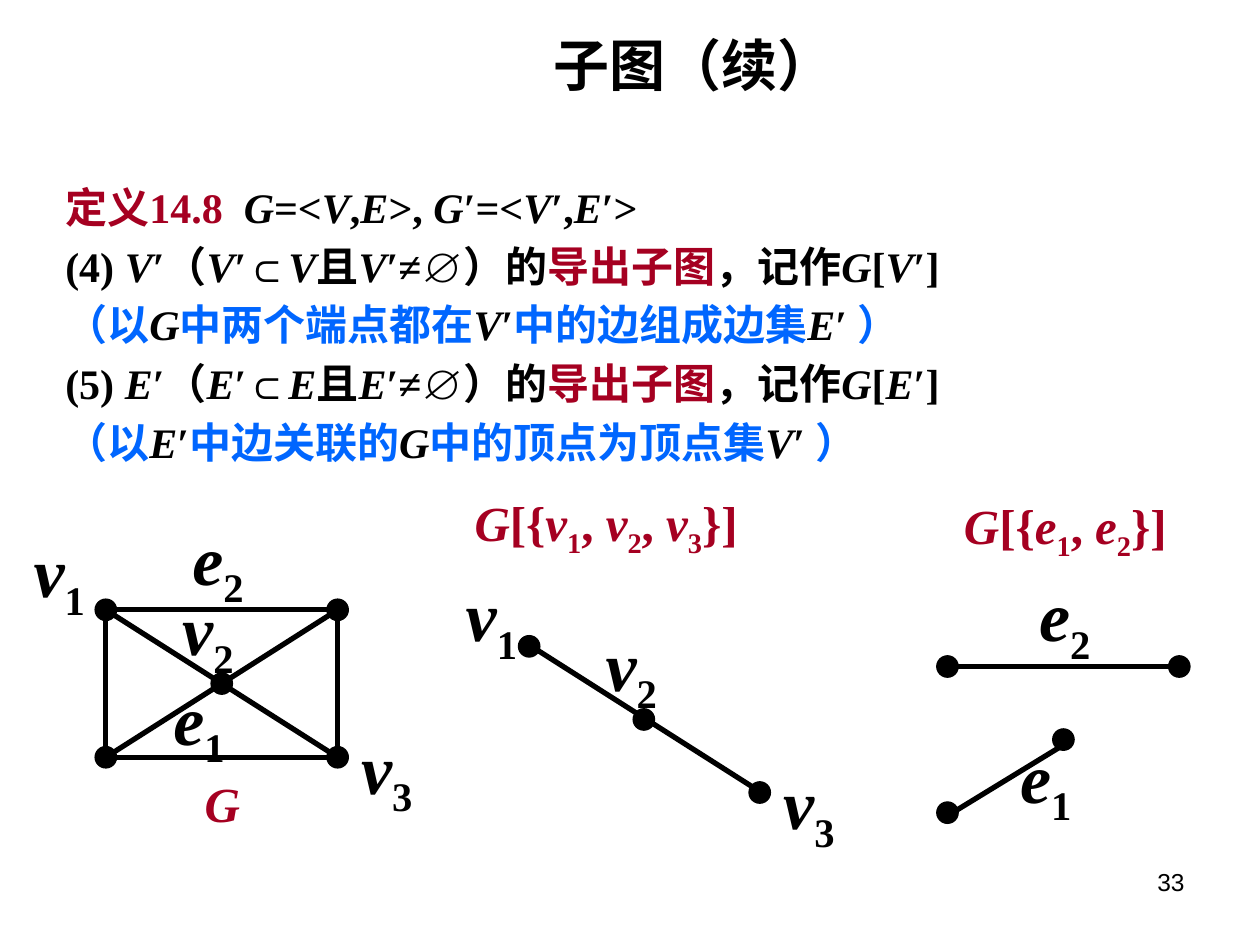
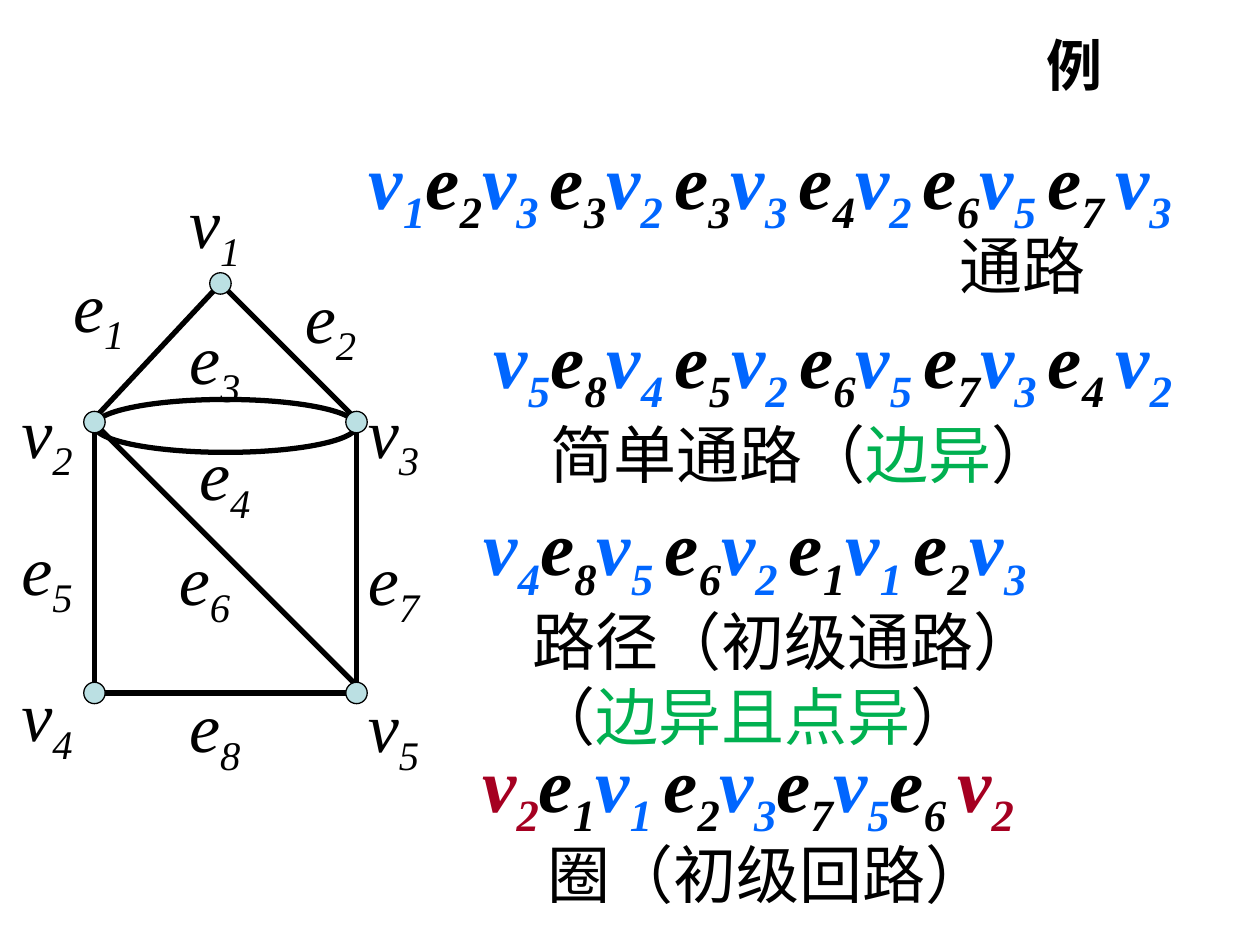
from dataclasses import dataclass
from itertools import groupby

from lxml import etree
from pptx import Presentation
from pptx.dml.color import RGBColor
from pptx.enum.shapes import MSO_CONNECTOR as CONN, MSO_SHAPE as SHAPE
from pptx.enum.text import MSO_ANCHOR as ANCHOR, PP_ALIGN as ALIGN
from pptx.oxml.ns import qn
from pptx.util import Inches, Pt


@dataclass(frozen=True)
class Theme:
    black: str = "000000"
    red: str = "A50021"
    blue: str = "0066FF"
    green: str = "00B050"
    pale: str = "BBE0E3"
    serif: str = "Times New Roman"
    sans: str = "Arial"
    number: int = 14
    body: int = 24
    caption: int = 28
    title: int = 32
    note: int = 36
    label: int = 40
    walk: int = 44
    edge: float = 3
    outline: float = 0.75
    dot: float = 0.17

    def ink(self, key):
        return {"k": self.black, "r": self.red, "b": self.blue, "g": self.green}[key]


def char_styles(text):
    styles = []
    for i, ch in enumerate(text):
        before = text[i - 1] if i else ""
        sub = (ch.isdigit() and before in ("v", "e")) or (
            ch == " " and i > 0 and styles[-1][1])
        styles.append((ch.isascii() and ch.isalpha(), sub))
    return styles


class Deck:
    def __init__(self, theme):
        self.theme = theme
        self.prs = Presentation()
        self.prs.slide_width, self.prs.slide_height = Inches(10), Inches(7.5)
        self.slide = None

    def new_slide(self, title, align, font):
        self.slide = self.prs.slides.add_slide(self.prs.slide_layouts[6])
        sp = self.text((2.16, 0.28, 6.69, 0.46), ["k" + title], self.theme.title,
                       align=align, font=font)
        sp.text_frame.vertical_anchor = ANCHOR.MIDDLE

    def text(self, box, lines, size, bold=True, align=ALIGN.LEFT, font=None,
             slanted_subs=False, gap=0, hanging=0, inset=None):
        sp = self.slide.shapes.add_textbox(*map(Inches, box))
        tf = sp.text_frame
        tf.word_wrap = True
        if inset is not None:
            tf.margin_left = tf.margin_right = Inches(inset)
            tf.margin_top = tf.margin_bottom = Inches(inset)
        for i, line in enumerate(lines):
            p = tf.add_paragraph() if i else tf.paragraphs[0]
            p.alignment = align
            if i and gap:
                p.space_before = Pt(gap)
            if hanging:
                pPr = p._p.get_or_add_pPr()
                pPr.set("marL", str(Inches(hanging)))
                pPr.set("indent", str(-Inches(hanging)))
            for part in line.split("|"):
                self.runs(p, part[1:], part[0], size, bold, font, slanted_subs)
        return sp

    def runs(self, p, text, key, size, bold, font, slanted_subs):
        pairs = zip(char_styles(text), text)
        for (italic, sub), group in groupby(pairs, key=lambda pair: pair[0]):
            r = p.add_run()
            r.text = "".join(ch for _, ch in group)
            r.font.name = font or self.theme.serif
            r.font.size = Pt(size)
            r.font.bold = bold
            r.font.italic = italic or (sub and slanted_subs)
            r.font.color.rgb = RGBColor.from_string(self.theme.ink(key))
            if sub:
                r._r.get_or_add_rPr().set("baseline", "-25000")

    def edges(self, segments):
        for x1, y1, x2, y2 in segments:
            line = self.slide.shapes.add_connector(
                CONN.STRAIGHT, *map(Inches, (x1, y1, x2, y2)))
            line.line.width = Pt(self.theme.edge)
            line.line.color.rgb = RGBColor.from_string(self.theme.black)
            etree.SubElement(line._element.spPr, qn("a:effectLst"))

    def ellipse(self, box, fill, width):
        sp = self.slide.shapes.add_shape(SHAPE.OVAL, *map(Inches, box))
        sp.shadow.inherit = False
        if fill:
            sp.fill.solid()
            sp.fill.fore_color.rgb = RGBColor.from_string(fill)
        else:
            sp.fill.background()
        sp.line.width = Pt(width)
        sp.line.color.rgb = RGBColor.from_string(self.theme.black)

    def nodes(self, centres, fill):
        d = self.theme.dot
        for x, y in centres:
            self.ellipse((x - d / 2, y - d / 2, d, d), fill, self.theme.outline)

    def bold_labels(self, places):
        for name, x, y in places:
            self.text((x, y, 0.94, 0.77), ["k" + name], self.theme.label,
                      align=ALIGN.CENTER)

    def slanted_labels(self, places):
        for name, x, y in places:
            self.text((x, y, 0.58, 0.67), ["k" + name], self.theme.label,
                      bold=False, slanted_subs=True, inset=0)

    def caption(self, box, name):
        self.text(box, ["r" + name], self.theme.caption, align=ALIGN.CENTER)

    def walk(self, box, sequence, ends=None):
        line = sequence.replace("v", "|bv").replace("e", "|ke")[1:]
        if ends:
            line = line.replace("b" + ends, "r" + ends)
        self.text(box, [line], self.theme.walk, slanted_subs=True)

    def note(self, box, *lines):
        self.text(box, lines, self.theme.note, bold=False)


def subgraph_slide(deck):
    theme = deck.theme
    deck.new_slide("子图（续）", ALIGN.CENTER, theme.serif)
    deck.text((7.17, 6.83, 2.33, 0.52), ["k33"], theme.number, bold=False,
              align=ALIGN.RIGHT, font=theme.sans)
    deck.text((0.42, 1.39, 9, 2.45), [
        "r定义14.8  |kG=<V,E>, G′=<V′,E′>",
        "k(4) V′（V′⊂V且V′≠∅）的|r导出子图|k，记作G[V′]",
        "b（以|kG|b中两个端点都在|kV′|b中的边组成边集|kE′ |b）",
        "k(5) E′（E′⊂E且E′≠∅）的|r导出子图|k，记作G[E′]",
        "b（以|kE′|b中边关联的|kG|b中的顶点为顶点集|kV′ |b）",
    ], theme.body, gap=4.8, hanging=0.38)

    left, right, top, bottom = 0.84, 2.68, 4.84, 6.01
    corners = [(left, top), (right, top), (right, bottom), (left, bottom)]
    sides = zip(corners, corners[1:] + corners[:1])
    diagonals = zip(corners[:2], corners[2:])
    deck.edges([a + b for a, b in [*sides, *diagonals]])
    deck.nodes(corners + [((left + right) / 2, (top + bottom) / 2)], theme.black)
    deck.bold_labels([("v1", 0, 4.14), ("v2", 1.18, 4.6), ("v3", 2.6, 5.7),
                      ("e1", 1.11, 5.31), ("e2", 1.26, 4.04)])
    deck.caption((1.08, 6.09, 1.37, 0.57), "G")

    deck.edges([(4.14, 5.08, 5.98, 6.25)])
    deck.nodes([(4.2, 5.13), (5.11, 5.71), (6.03, 6.29)], theme.black)
    deck.bold_labels([("v1", 3.43, 4.49), ("v2", 4.54, 4.88), ("v3", 5.95, 5.98)])
    deck.caption((3.12, 3.86, 3.38, 0.57), "G[{v1, v2, v3}]")

    deck.edges([(7.56, 5.29, 9.4, 5.29), (8.46, 5.9, 7.56, 6.45)])
    deck.nodes([(7.52, 5.29), (9.36, 5.29), (8.44, 5.87), (7.52, 6.45)], theme.black)
    deck.bold_labels([("e1", 7.83, 5.77), ("e2", 7.98, 4.49)])
    deck.caption((6.34, 3.88, 4.23, 0.57), "G[{e1, e2}]")


def walk_slide(deck):
    theme = deck.theme
    deck.new_slide("例", ALIGN.RIGHT, theme.sans)
    deck.walk((2.83, 1, 7.17, 0.83), "v1e2v3 e3v2 e3v3 e4v2 e6v5 e7 v3")
    deck.note((7.52, 1.75, 1.87, 0.7), "k通路")
    deck.walk((3.82, 2.42, 6.08, 0.83), "v5e8v4 e5v2 e6v5 e7v3 e4 v2")
    deck.note((4.27, 3.25, 4.65, 0.71), "k简单通路（|g边异|k）")
    deck.walk((3.74, 3.91, 5, 0.83), "v4e8v5 e6v2 e1v1 e2v3")
    deck.note((4.13, 4.73, 5.78, 1.31), "k路径（初级通路）", "k（|g边异且点异|k）")
    deck.walk((3.73, 5.79, 5, 0.84), "v2e1v1 e2v3e7v5e6 v2", ends="v2")
    deck.note((4.25, 6.58, 4.67, 0.7), "k圈（初级回路）")

    left, right, apex = 0.75, 2.83, 1.75
    roof, eaves, floor = 2.25, 3.35, 5.5
    deck.ellipse((left, 3.17, right - left, 0.42), None, theme.edge)
    deck.edges([
        (right, 3.42, right, floor), (left, 3.33, left, floor),
        (left, floor, right, floor), (apex, roof, left, 3.32),
        (apex, roof, right, 3.33), (left, 3.36, right, 5.44),
    ])
    deck.nodes([(apex, roof), (left, eaves), (right, eaves),
                (left, floor), (right, floor)], theme.pale)
    deck.slanted_labels([
        ("e1", 0.58, 2.08), ("e2", 2.42, 2.17), ("e3", 1.5, 2.5), ("e4", 1.58, 3.42),
        ("e5", 0.17, 4.17), ("e6", 1.42, 4.25), ("e7", 2.92, 4.25), ("e8", 1.5, 5.42),
        ("v1", 1.5, 1.42), ("v2", 0.17, 3.08), ("v3", 2.92, 3.08),
        ("v4", 0.17, 5.33), ("v5", 2.92, 5.42),
    ])


def main():
    deck = Deck(Theme())
    subgraph_slide(deck)
    walk_slide(deck)
    deck.prs.save("out.pptx")


if __name__ == "__main__":
    main()
